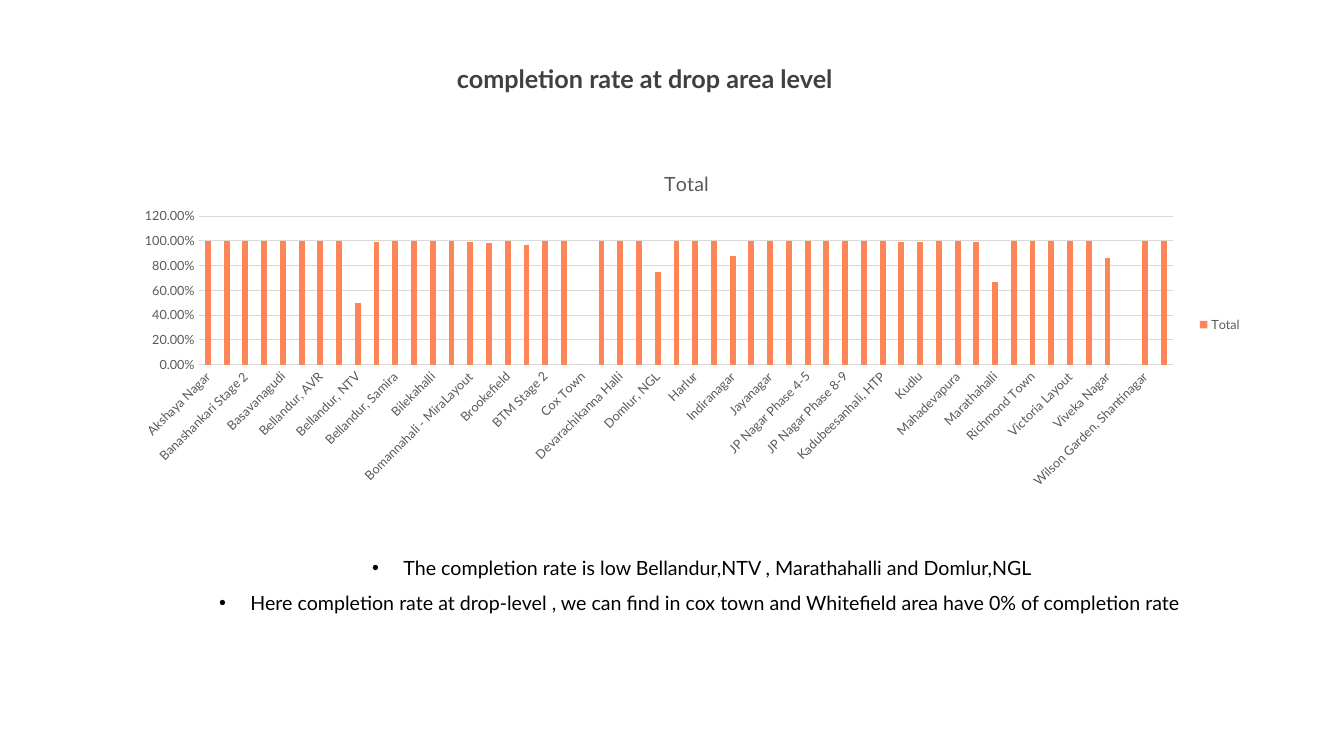
from lxml import etree
from pptx import Presentation, util as u
from pptx.chart.data import CategoryChartData
from pptx.dml.color import RGBColor
from pptx.enum import chart as ch, text
from pptx.oxml.ns import qn

GREY, GRID = "595959", "D9D9D9"


def paint(target, color):
    """Give a fill a solid colour."""
    target.solid()
    target.fore_color.rgb = RGBColor.from_string(color)


def style(font, size, color, bold=False):
    font.name, font.size, font.bold = "Lato", u.Pt(size), bold
    paint(font.fill, color)


deck = Presentation()
deck.slide_width, deck.slide_height = u.Inches(13.33), u.Inches(7.5)
slide = deck.slides.add_slide(deck.slide_layouts[5])

# Heading
heading = slide.shapes.title
heading.left, heading.top = u.Inches(2.8), u.Inches(0.58)
heading.width, heading.height = u.Inches(7.19), u.Inches(0.71)
heading.text_frame.text = "completion rate at drop area level"
heading.text_frame.vertical_anchor = text.MSO_ANCHOR.TOP
heading.text_frame.auto_size = text.MSO_AUTO_SIZE.NONE
heading.text_frame.paragraphs[0].alignment = text.PP_ALIGN.CENTER
style(heading.text_frame.paragraphs[0].font, 18, "404040", True)

# Completion rates: every drop area is at 100% unless listed below
areas = [
    "Akshaya Nagar", "Arekere", "Banashankari Stage 2", "Bannerghatta",
    "Basavanagudi", "Bellandur - Off Sarjapur Road", "Bellandur, AVR",
    "Bellandur, Workpark", "Bellandur, NTV", "Bellandur, Green Dale",
    "Bellandur, Samira", "Bellandur, Sarjapur Road", "Bilekahalli", "Binnipet",
    "Bomannahali - MiraLayout", "Bommanahalli", "Brookefield", "BTM Stage 1",
    "BTM Stage 2", "Challagatta", "Cox Town", "CV Raman Nagar",
    "Devarachikanna Halli", "Doddanekundi", "Domlur, NGL", "Frazer Town",
    "Harlur", "HSR Layout", "Indiranagar", "ITI Layout", "Jayanagar",
    "JP Nagar Phase 1-3", "JP Nagar Phase 4-5", "JP Nagar Phase 6-7",
    "JP Nagar Phase 8-9", "Kadubeesanhali, Heritage", "Kadubeesanhali, HTP",
    "Koramangala, Ejipura", "Kudlu", "Kumaraswamy Layout", "Mahadevapura",
    "Maligai County", "Marathahalli", "Pattandur", "Richmond Town",
    "Sarjapur Road", "Victoria Layout", "Vimanapura", "Viveka Nagar",
    "Whitefield", "Wilson Garden, Shantinagar", "Yemalur",
]
below_full = {
    "Bellandur, NTV": 0.5, "Bellandur, Green Dale": 0.99,
    "Bomannahali - MiraLayout": 0.99, "Bommanahalli": 0.98,
    "BTM Stage 1": 0.97, "Cox Town": 0, "Domlur, NGL": 0.75,
    "Indiranagar": 0.88, "Koramangala, Ejipura": 0.99, "Kudlu": 0.99,
    "Maligai County": 0.99, "Marathahalli": 0.67, "Viveka Nagar": 0.86,
    "Whitefield": 0,
}
rates = CategoryChartData(number_format="0.00%")
rates.categories = areas
rates.add_series("Total", [below_full.get(area, 1) for area in areas])
chart = slide.shapes.add_chart(
    ch.XL_CHART_TYPE.COLUMN_CLUSTERED, u.Inches(1.2), u.Inches(1.52),
    u.Inches(11.22), u.Inches(3.4), rates).chart
style(chart.font, 10, "000000")

# Chart title and legend
chart.has_title = True
chart.chart_title.text_frame.text = "Total"
chart.chart_title.include_in_layout = False
style(chart.chart_title.text_frame.paragraphs[0].font, 14, GREY)
chart.has_legend = True
chart.legend.position = ch.XL_LEGEND_POSITION.RIGHT
chart.legend.include_in_layout = False
style(chart.legend.font, 9, GREY)

# Columns
columns = chart.plots[0]
columns.gap_width, columns.overlap = 219, -27
columns.vary_by_categories = False
paint(columns.series[0].format.fill, "FD8558")
columns.series[0].invert_if_negative = False

# Axes
area_axis, rate_axis = chart.category_axis, chart.value_axis
for axis in (area_axis, rate_axis):
    axis.major_tick_mark = axis.minor_tick_mark = ch.XL_TICK_MARK.NONE
    style(axis.tick_labels.font, 9, GREY)
rate_axis.has_major_gridlines = True
rate_axis.format.line.fill.background()
rate_axis.tick_labels.number_format = "0.00%"
rate_axis.tick_labels.number_format_is_linked = False
for line in (area_axis.format.line, rate_axis.major_gridlines.format.line):
    paint(line.fill, GRID)
    line.width = u.Pt(0.75)

# Findings
findings = slide.shapes.add_textbox(
    u.Inches(1.82), u.Inches(5.49), u.Inches(10.29), u.Inches(0.78)).text_frame
findings.word_wrap = True
findings.text = (
    "The completion rate is low Bellandur,NTV , Marathahalli and Domlur,NGL\n"
    "Here completion rate at drop-level , we can find in cox town and "
    "Whitefield area have 0% of completion rate ")
for number, finding in enumerate(findings.paragraphs):
    finding.alignment = text.PP_ALIGN.CENTER
    finding.line_spacing = 0.9
    finding.space_before = u.Pt(10 if number else 0)
    layout = finding._p.get_or_add_pPr()
    layout.set("marL", str(u.Inches(0.31)))
    layout.set("indent", str(u.Inches(-0.31)))
    etree.SubElement(layout, qn("a:buFont"), typeface="Arial")
    etree.SubElement(layout, qn("a:buChar"), char="•")
    style(finding.font, 14, "000000")

deck.save("out.pptx")
